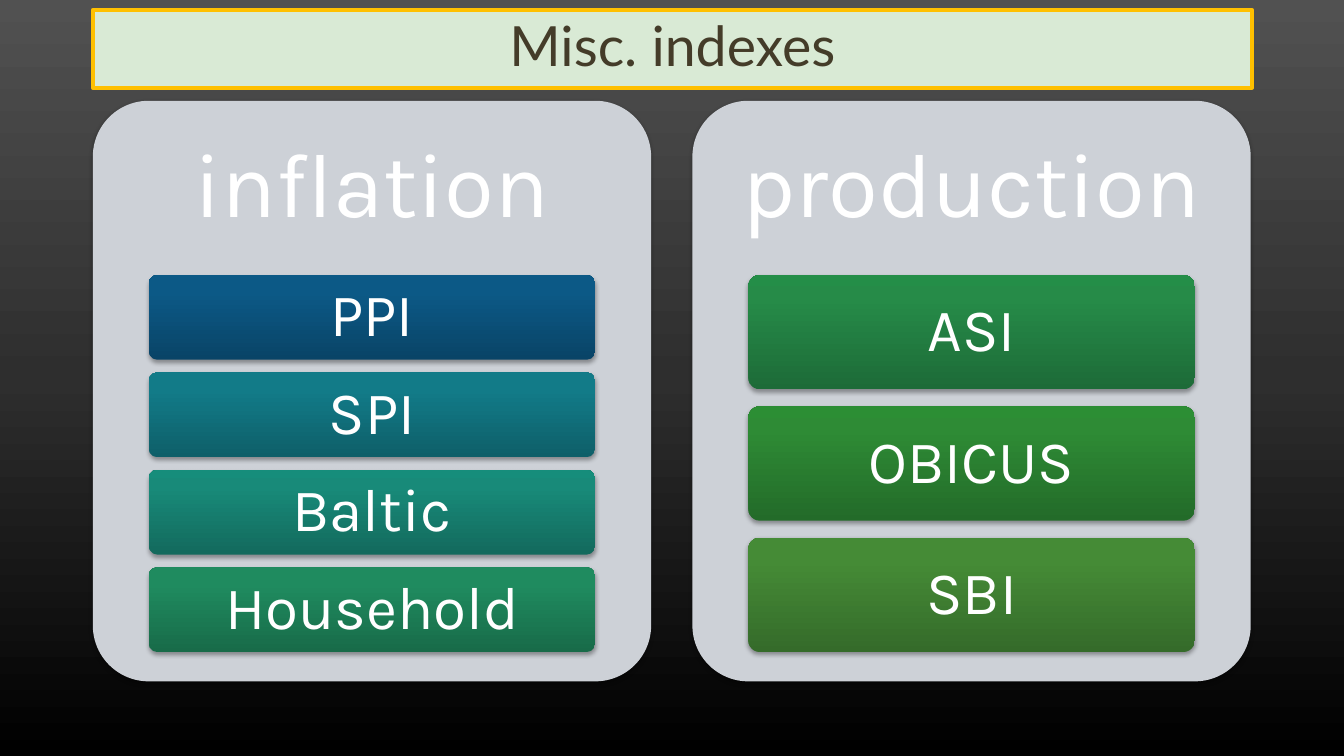
from copy import deepcopy
from dataclasses import dataclass

from lxml import etree
from pptx import Presentation
from pptx.dml.color import RGBColor
from pptx.enum import shapes, text
from pptx.oxml.ns import qn
from pptx.util import Cm, Pt


@dataclass(frozen=True)
class Theme:
    title_font: str = "Lato"
    body_font: str = "Karla"
    title_size: float = 39.6
    heading_size: float = 65
    bar_size: float = 43
    title_text: str = "443C29"
    title_fill: str = "D9EAD5"
    title_line: str = "FFC000"
    light_text: str = "FFFFFF"
    panel: str = "CDD1D7"
    shadow: str = "000000"
    background: tuple = ((0, "515151"), (0.5, "2E2E2E"), (1, "000000"))


PANELS = {
    "inflation": [
        ("PPI", ("094467", "0C5986", "0A5A89")),
        ("SPI", ("0E5F69", "127B88", "107D8B")),
        ("Baltic", ("136A5D", "188A79", "168D7B")),
        ("Household", ("186B49", "1F8B5F", "1D8D60")),
    ],
    "production": [
        ("ASI", ("1D6B38", "268B48", "248E48")),
        ("OBICUS", ("236B29", "2E8B35", "2C8E34")),
        ("SBI", ("356B2A", "458B36", "458D35")),
    ],
}

# Lengths in centimetres
PANEL_LEFT, PANEL_TOP, PANEL_WIDTH, PANEL_HEIGHT = 2.34, 2.54, 14.07, 14.63
PANEL_PITCH = 15.11
HEADING_HEIGHT = 4.39
BAR_INDENT, BARS_HEIGHT = 1.41, 9.5
GAP_RATIO = 0.15  # gap between bars as a share of the bar height


class IndexSlide:
    def __init__(self, deck, theme):
        self.theme = theme
        self.slide = deck.slides.add_slide(deck.slide_layouts[5])
        self.gradient(self.slide.background.fill, self.slide.element, theme.background, 270)

    def gradient(self, fill, owner, stops, angle):
        """Fill with any number of (position, colour) stops."""
        fill.gradient()
        fill.gradient_angle = angle
        stop_list = owner.find(".//" + qn("a:gsLst"))
        while len(stop_list) < len(stops):
            stop_list.append(deepcopy(stop_list[-1]))
        for stop, (position, colour) in zip(fill.gradient_stops, stops):
            stop.position = position
            stop.color.rgb = RGBColor.from_string(colour)

    def label(self, shape, words, font, size, colour, insets=(0.3, 0.23)):
        frame = shape.text_frame
        frame.word_wrap = True
        frame.vertical_anchor = text.MSO_ANCHOR.MIDDLE
        frame.margin_left = frame.margin_right = Cm(insets[0])
        frame.margin_top = frame.margin_bottom = Cm(insets[1])
        frame.text = words
        line = frame.paragraphs[0]
        line.alignment = text.PP_ALIGN.CENTER
        line.line_spacing = 0.9
        line.font.name = font
        line.font.size = Pt(size)
        line.font.color.rgb = RGBColor.from_string(colour)

    def title(self, words, left, top, width, height):
        theme = self.theme
        title = self.slide.shapes.title
        title.left, title.top, title.width, title.height = map(Cm, (left, top, width, height))
        title.fill.solid()
        title.fill.fore_color.rgb = RGBColor.from_string(theme.title_fill)
        title.line.color.rgb = RGBColor.from_string(theme.title_line)
        title.line.width = Pt(3)
        self.label(title, words, theme.title_font, theme.title_size, theme.title_text, (0.25, 0.13))

    def rounded_box(self, left, top, width, height):
        """Borderless rounded rectangle with a soft shadow below it."""
        box = self.slide.shapes.add_shape(
            shapes.MSO_SHAPE.ROUNDED_RECTANGLE, *map(Cm, (left, top, width, height)))
        box.adjustments[0] = 0.1
        box.line.fill.background()
        box.shadow.inherit = False
        effects = box.element.spPr.find(qn("a:effectLst"))
        shadow = etree.SubElement(
            effects, qn("a:outerShdw"), blurRad=str(int(Pt(3.1))), dist=str(int(Pt(1.8))),
            dir="5400000", algn="ctr", rotWithShape="0")
        colour = etree.SubElement(shadow, qn("a:srgbClr"), val=self.theme.shadow)
        etree.SubElement(colour, qn("a:alpha"), val="35000")
        return box

    def bar(self, words, colours, left, top, width, height):
        theme = self.theme
        bar = self.rounded_box(left, top, width, height)
        self.gradient(bar.fill, bar.element, tuple(zip((0, 0.8, 1), colours)), 90)
        self.label(bar, words, theme.body_font, theme.bar_size, theme.light_text)

    def panel(self, name, bars, left):
        theme = self.theme
        panel = self.rounded_box(left, PANEL_TOP, PANEL_WIDTH, PANEL_HEIGHT)
        panel.fill.solid()
        panel.fill.fore_color.rgb = RGBColor.from_string(theme.panel)
        heading = self.slide.shapes.add_textbox(
            *map(Cm, (left, PANEL_TOP, PANEL_WIDTH, HEADING_HEIGHT)))
        self.label(heading, name, theme.body_font, theme.heading_size,
                   theme.light_text, (0.69, 0.69))

        height = BARS_HEIGHT / (len(bars) + GAP_RATIO * (len(bars) - 1))
        for row, (words, colours) in enumerate(bars):
            top = PANEL_TOP + HEADING_HEIGHT + row * height * (1 + GAP_RATIO)
            self.bar(words, colours, left + BAR_INDENT, top,
                     PANEL_WIDTH - 2 * BAR_INDENT, height)


def main():
    deck = Presentation()
    deck.slide_width, deck.slide_height = Cm(33.87), Cm(19.05)
    indexes = IndexSlide(deck, Theme())
    indexes.title("Misc. indexes", PANEL_LEFT, 0.25, 29.21, 1.96)
    for column, (name, bars) in enumerate(PANELS.items()):
        indexes.panel(name, bars, PANEL_LEFT + column * PANEL_PITCH)
    deck.save("out.pptx")


if __name__ == "__main__":
    main()
